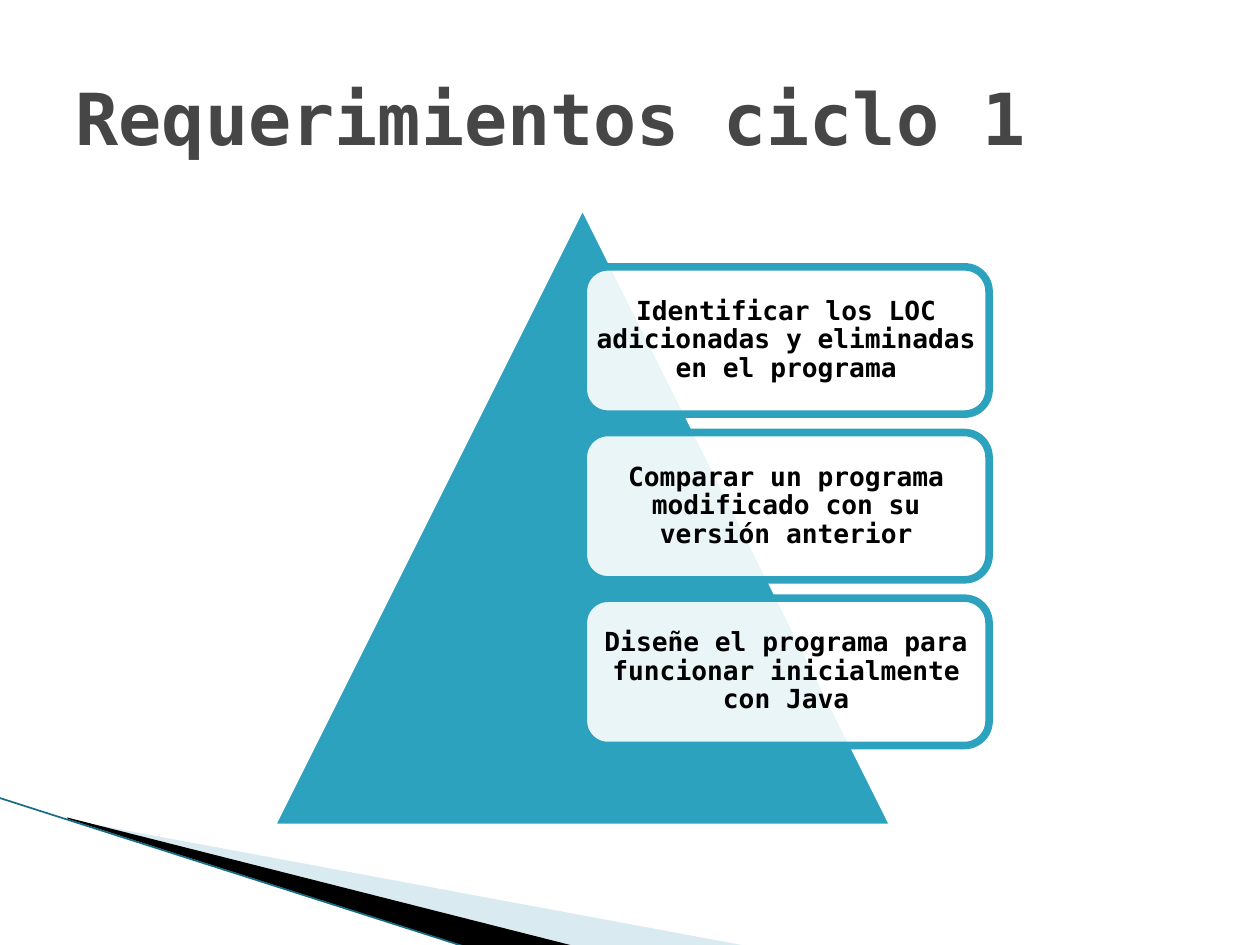
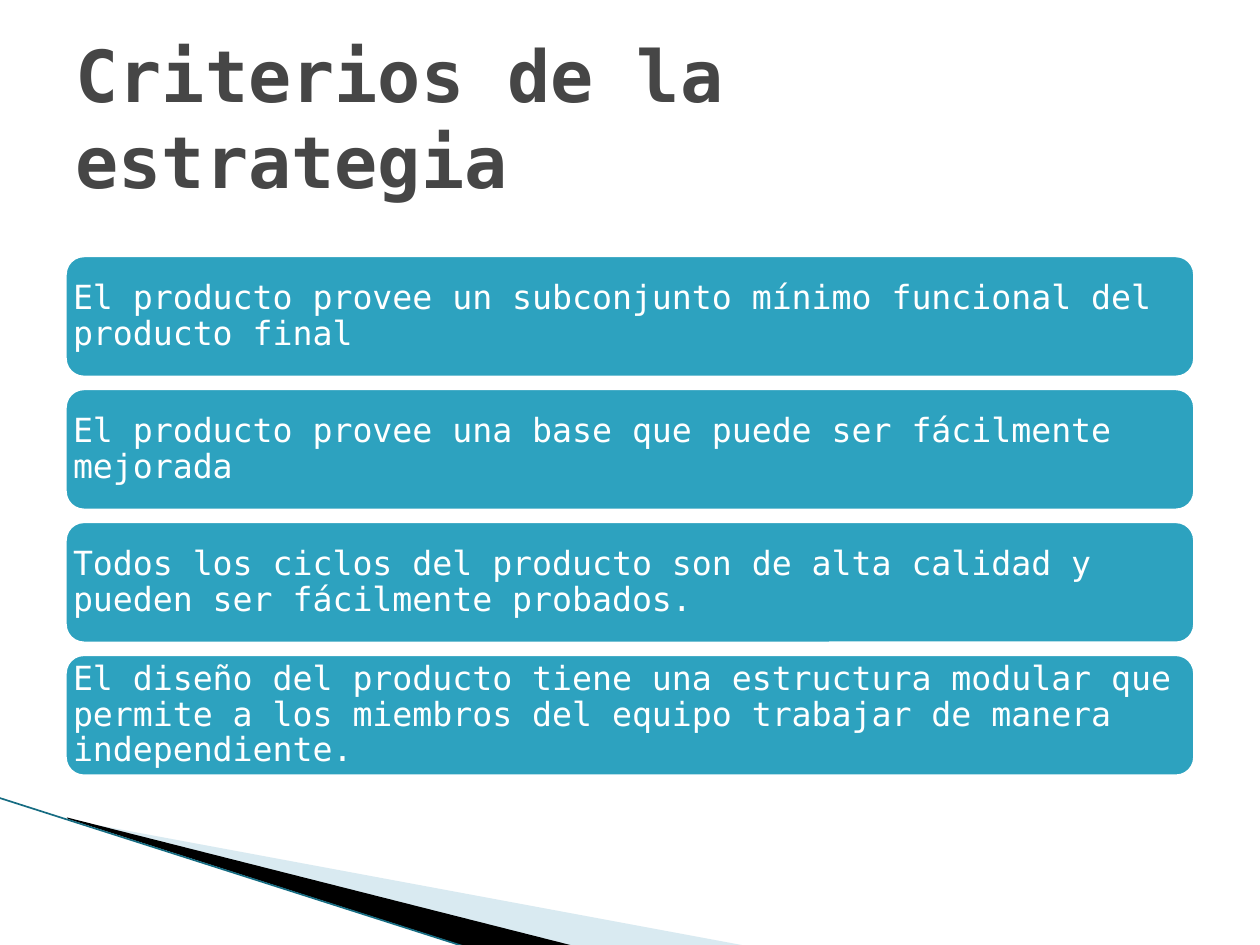
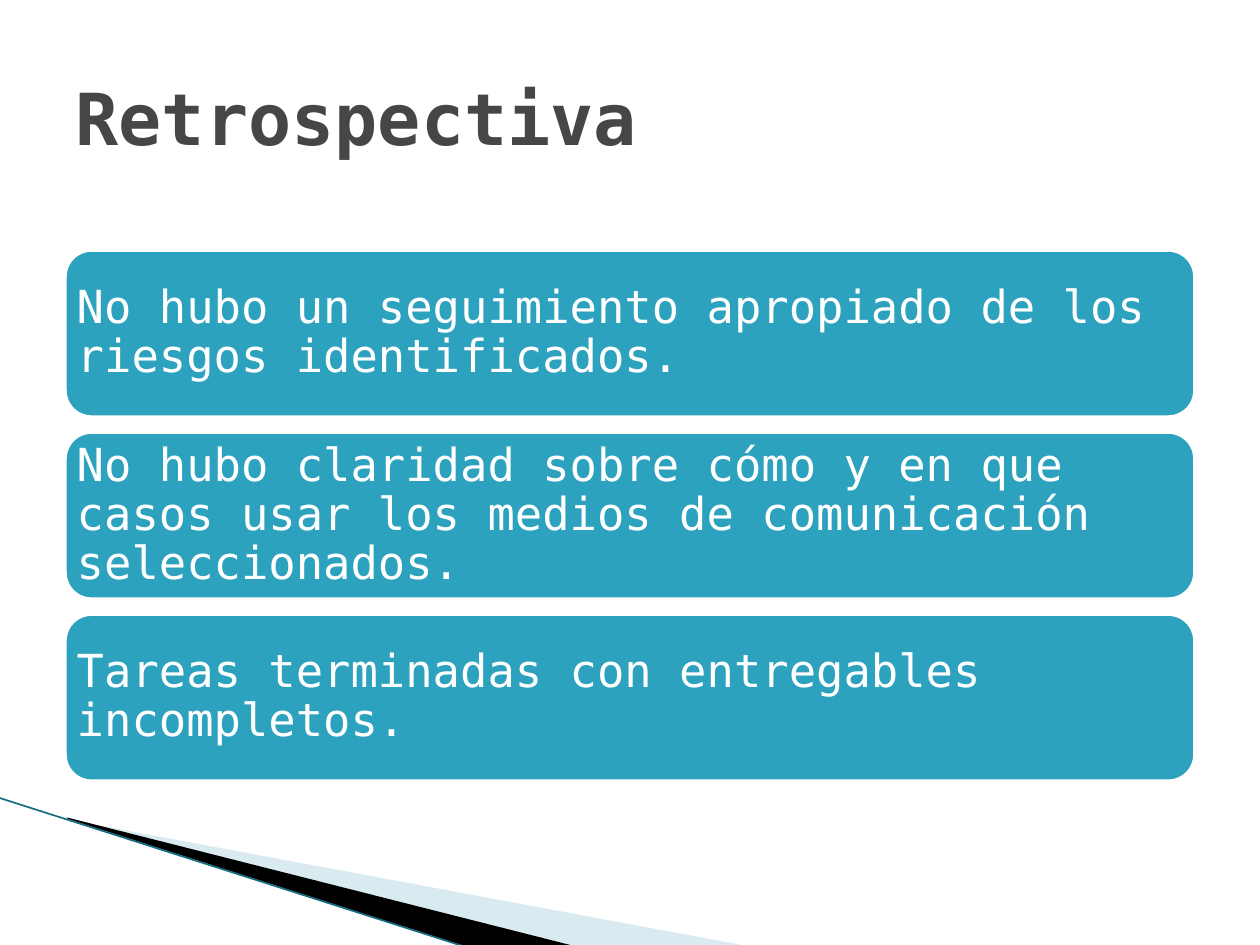
from lxml.etree import SubElement
from pptx import Presentation
from pptx.dml.color import RGBColor
from pptx.enum.shapes import MSO_CONNECTOR, MSO_SHAPE
from pptx.enum.text import MSO_ANCHOR, MSO_AUTO_SIZE, PP_ALIGN
from pptx.oxml.ns import qn
from pptx.util import Cm, Pt

FONT = "DejaVu Sans Mono"
TEAL = RGBColor(0x2D, 0xA2, 0xBF)
DARK_TEAL = RGBColor(0x16, 0x6C, 0x82)
PALE_BLUE = RGBColor(0xA0, 0xCB, 0xDC)
GREY = RGBColor(0x46, 0x46, 0x46)
BLACK = RGBColor(0, 0, 0)
WHITE = RGBColor(0xFF, 0xFF, 0xFF)
OUTLINE = Pt(4.33)

# Lengths in centimetres
TITLE_BOX = (1.27, 0.76, 22.86, 3.18)
PYRAMID_BOX = (5.46, 4.11, 12.57, 12.57)
PALE_WEDGE = [(1.4, 16.53), (15.11, 19.08), (11.58, 19.08), (1.4, 16.51)]
BLACK_WEDGE = [(1.35, 16.48), (11.61, 19.08), (9.45, 19.1), (1.37, 16.51)]
EDGE = (-0.03, 16.08, 9.42, 19.1)

PYRAMID_CARDS = dict(left=11.76, top=5.38, width=8.18, height=2.97, gap=0.37,
                     inset=0, size=15, fill=WHITE, opacity=90, line=TEAL,
                     color=BLACK, bold=True, align=PP_ALIGN.CENTER)
WIDE_CARDS = dict(left=1.27, width=22.86, fill=TEAL, opacity=100, line=WHITE,
                  color=WHITE, bold=False, align=PP_ALIGN.LEFT)
CRITERIA_CARDS = dict(WIDE_CARDS, top=5.11, height=2.54, gap=0.14, inset=0.08, size=19)
REVIEW_CARDS = dict(WIDE_CARDS, top=5.0, height=3.45, gap=0.22, inset=0.11, size=26)

SLIDES = [
    dict(title="Requerimientos ciclo 1", pyramid=True, style=PYRAMID_CARDS, cards=[
        "Identificar los LOC adicionadas y eliminadas en el programa",
        "Comparar un programa modificado con su versión anterior",
        "Diseñe el programa para funcionar inicialmente con Java",
    ]),
    dict(title="Criterios de la estrategia", pyramid=False, style=CRITERIA_CARDS, cards=[
        "El producto provee un subconjunto mínimo funcional del producto final",
        "El producto provee una base que puede ser fácilmente mejorada",
        "Todos los ciclos del producto son de alta calidad y pueden ser fácilmente probados.",
        "El diseño del producto tiene una estructura modular que permite a los miembros "
        "del equipo trabajar de manera independiente.",
    ]),
    dict(title="Retrospectiva", pyramid=False, style=REVIEW_CARDS, cards=[
        "No hubo un seguimiento apropiado de los riesgos identificados.",
        "No hubo claridad sobre cómo y en que casos usar los medios de comunicación "
        "seleccionados.",
        "Tareas terminadas con entregables incompletos.",
    ]),
]


def paint(shape, fill, line=None, opacity=100):
    shape.shadow.inherit = False
    shape.fill.solid()
    shape.fill.fore_color.rgb = fill
    if opacity < 100:
        color = shape.fill._xPr.find(qn("a:solidFill"))[0]
        SubElement(color, qn("a:alpha"), val=str(opacity * 1000))
    if line is None:
        shape.line.fill.background()
    else:
        shape.line.color.rgb = line
        shape.line.width = OUTLINE


def write(frame, text, size, color, bold, align, spacing=1.0):
    frame.word_wrap = True
    frame.auto_size = MSO_AUTO_SIZE.NONE
    frame.vertical_anchor = MSO_ANCHOR.MIDDLE
    para = frame.paragraphs[0]
    para.alignment = align
    para.line_spacing = spacing
    span = para.add_run()
    span.text = text
    span.font.name = FONT
    span.font.size = Pt(size)
    span.font.bold = bold
    span.font.color.rgb = color


def add_wedge(page, points, fill, opacity=100):
    corners = [(Cm(x), Cm(y)) for x, y in points]
    builder = page.shapes.build_freeform(*corners[0])
    builder.add_line_segments(corners[1:], close=True)
    wedge = builder.convert_to_shape()
    paint(wedge, fill, opacity=opacity)
    return wedge


def add_edge(page):
    edge = page.shapes.add_connector(MSO_CONNECTOR.STRAIGHT, *map(Cm, EDGE))
    edge.line.color.rgb = DARK_TEAL
    edge.line.width = Pt(0.95)
    SubElement(edge._element.spPr, qn("a:effectLst"))
    return edge


def decorate_master(deck, page):
    """Draw the corner wedges on the page, then move them to the slide master."""
    parts = [add_wedge(page, PALE_WEDGE, PALE_BLUE, 40),
             add_wedge(page, BLACK_WEDGE, BLACK),
             add_edge(page)]
    for part in parts:
        deck.slide_master.shapes._spTree.append(part._element)


def add_title(page, text):
    title = page.shapes.title
    title.left, title.top, title.width, title.height = map(Cm, TITLE_BOX)
    write(title.text_frame, text, 41, GREY, True, PP_ALIGN.LEFT)


def add_pyramid(page):
    pyramid = page.shapes.add_shape(MSO_SHAPE.ISOSCELES_TRIANGLE, *map(Cm, PYRAMID_BOX))
    paint(pyramid, TEAL, WHITE)


def add_cards(page, texts, style):
    for row, text in enumerate(texts):
        top = style["top"] + row * (style["height"] + style["gap"])
        card = page.shapes.add_shape(
            MSO_SHAPE.ROUNDED_RECTANGLE, Cm(style["left"]), Cm(top),
            Cm(style["width"]), Cm(style["height"]))
        paint(card, style["fill"], style["line"], style["opacity"])
        frame = card.text_frame
        frame.margin_left = frame.margin_right = Cm(style["inset"])
        frame.margin_top = frame.margin_bottom = Cm(style["inset"])
        write(frame, text, style["size"], style["color"], style["bold"],
              style["align"], spacing=0.9)


def main():
    deck = Presentation()
    deck.slide_width, deck.slide_height = Cm(25.4), Cm(19.05)
    title_only = deck.slide_layouts[5]
    for number, content in enumerate(SLIDES):
        page = deck.slides.add_slide(title_only)
        if number == 0:
            decorate_master(deck, page)
        add_title(page, content["title"])
        if content["pyramid"]:
            add_pyramid(page)
        add_cards(page, content["cards"], content["style"])
    deck.save("out.pptx")


if __name__ == "__main__":
    main()
